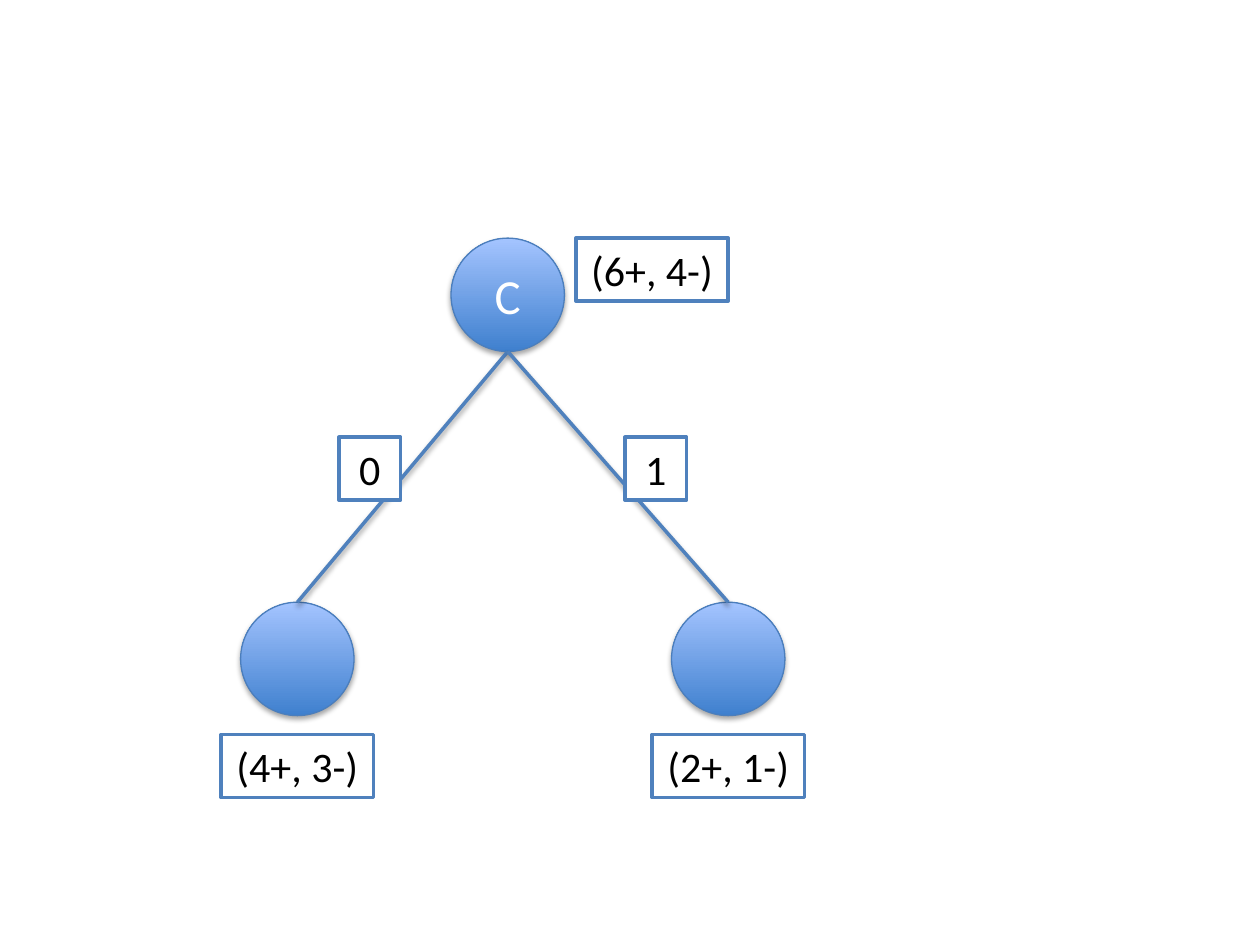
from typing import NamedTuple

from lxml.etree import SubElement
from pptx import Presentation
from pptx.dml.color import RGBColor
from pptx.enum.shapes import MSO_CONNECTOR, MSO_SHAPE
from pptx.enum.text import MSO_ANCHOR, MSO_AUTO_SIZE, PP_ALIGN
from pptx.oxml.ns import qn
from pptx.util import Inches, Pt

COLORS = {
    "node_bottom": "3F80CE",
    "node_top": "A4C4FF",
    "node_line": "4B7EBC",
    "accent": "4F81BD",
    "white": "FFFFFF",
    "black": "000000",
}
FONT = "Calibri"
DIAMETER = 0.9
LABEL_HEIGHT = 0.5
COUNT_WIDTH = 1.21
VALUE_WIDTH = 0.49


class Node(NamedTuple):
    center: float
    top: float
    text: str = ""


class Label(NamedTuple):
    left: float
    top: float
    width: float
    text: str


def color(name: str) -> RGBColor:
    return RGBColor.from_string(COLORS[name])


def add_shadow(shape, distance: float, opacity: int) -> None:
    properties = shape._element.spPr
    effects = SubElement(properties, qn("a:effectLst"))
    shadow = SubElement(effects, qn("a:outerShdw"), blurRad=str(Pt(3.1)),
                        dist=str(Pt(distance)), dir="5400000", rotWithShape="0")
    shade = SubElement(shadow, qn("a:srgbClr"), val=COLORS["black"])
    SubElement(shade, qn("a:alpha"), val=str(opacity * 1000))


def write_text(shape, text: str, size: int, color_name: str) -> None:
    para = shape.text_frame.paragraphs[0]
    para.text = text
    para.alignment = PP_ALIGN.CENTER
    para.font.name = FONT
    para.font.size = Pt(size)
    para.font.color.rgb = color(color_name)


def add_node(page, node: Node) -> None:
    circle = page.shapes.add_shape(
        MSO_SHAPE.OVAL, Inches(node.center - DIAMETER / 2), Inches(node.top),
        Inches(DIAMETER), Inches(DIAMETER))
    circle.fill.gradient()
    circle.fill.gradient_angle = 90
    for stop, name in zip(circle.fill.gradient_stops, ("node_bottom", "node_top")):
        stop.color.rgb = color(name)
    circle.line.color.rgb = color("node_line")
    circle.line.width = Pt(0.75)
    add_shadow(circle, 1.8, 35)
    if node.text:
        write_text(circle, node.text, 28, "white")


def add_branch(page, parent: Node, child: Node) -> None:
    branch = page.shapes.add_connector(
        MSO_CONNECTOR.STRAIGHT, Inches(parent.center), Inches(parent.top + DIAMETER),
        Inches(child.center), Inches(child.top))
    branch.line.color.rgb = color("accent")
    branch.line.width = Pt(2)
    add_shadow(branch, 1.6, 38)


def add_label(page, label: Label) -> None:
    box = page.shapes.add_shape(
        MSO_SHAPE.RECTANGLE, Inches(label.left), Inches(label.top),
        Inches(label.width), Inches(LABEL_HEIGHT))
    box.shadow.inherit = False
    box.fill.solid()
    box.fill.fore_color.rgb = color("white")
    box.line.color.rgb = color("accent")
    box.line.width = Pt(2)
    frame = box.text_frame
    frame.word_wrap = False
    frame.auto_size = MSO_AUTO_SIZE.SHAPE_TO_FIT_TEXT
    frame.vertical_anchor = MSO_ANCHOR.TOP
    write_text(box, label.text, 24, "black")


def count_below(node: Node, text: str) -> Label:
    return Label(node.center - COUNT_WIDTH / 2, node.top + 1.05, COUNT_WIDTH, text)


deck = Presentation()
deck.slide_width, deck.slide_height = Inches(10), Inches(7.5)
page = deck.slides.add_slide(deck.slide_layouts[6])

# Tree nodes
root = Node(4.03, 1.89, "C")
right = Node(5.78, 4.78)
left = Node(2.36, 4.78)
for node in (root, right, left):
    add_node(page, node)

# Branches
for child in (left, right):
    add_branch(page, root, child)

# Branch values and class counts
labels = [
    Label(4.96, 3.47, VALUE_WIDTH, "1"),
    Label(2.69, 3.47, VALUE_WIDTH, "0"),
    Label(4.57, root.top, COUNT_WIDTH, "(6+, 4-)"),
    count_below(left, "(4+, 3-)"),
    count_below(right, "(2+, 1-)"),
]
for label in labels:
    add_label(page, label)

deck.save("out.pptx")
